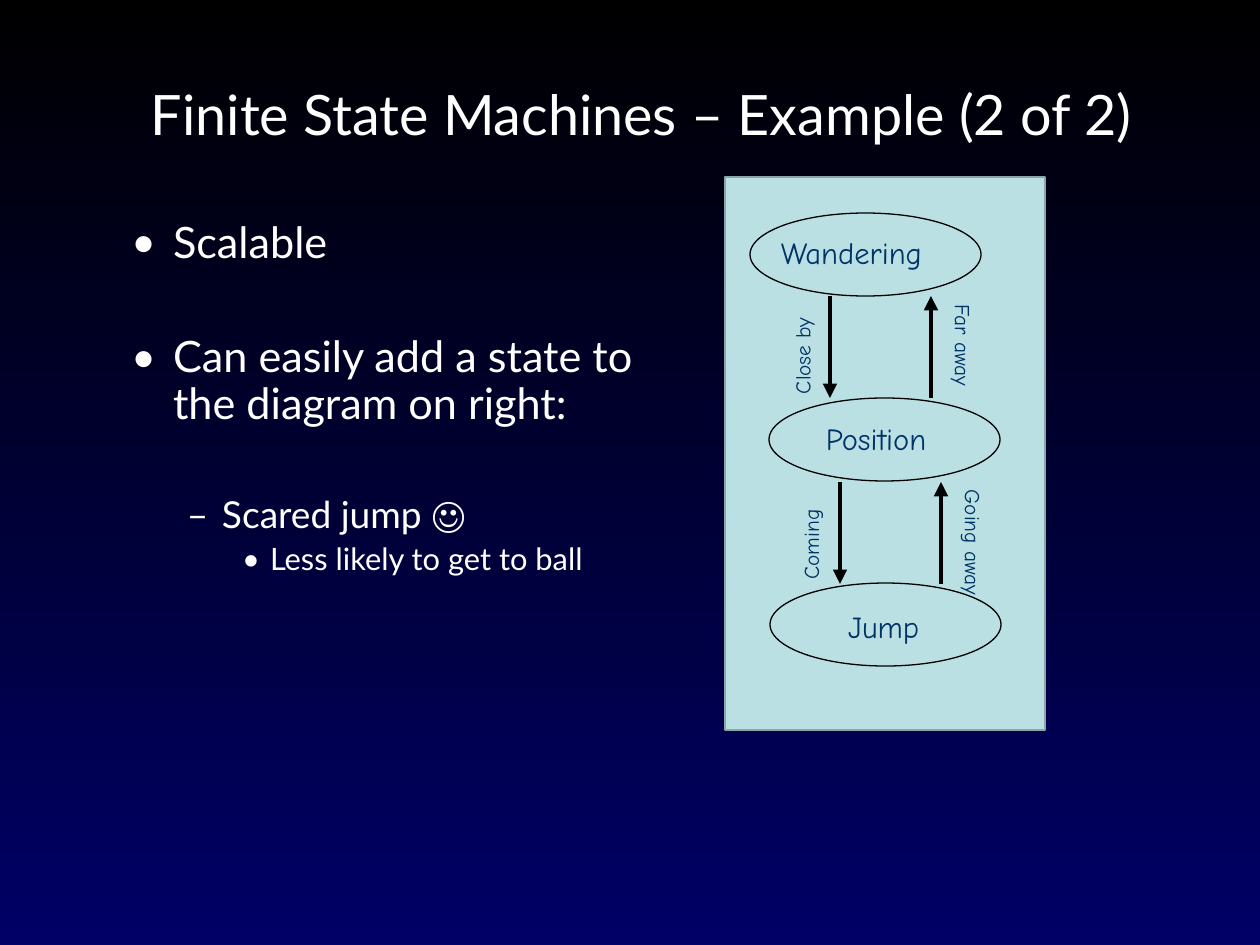
from dataclasses import dataclass

from lxml.etree import SubElement
from pptx import Presentation
from pptx.dml.color import RGBColor
from pptx.enum.shapes import MSO_CONNECTOR, MSO_SHAPE
from pptx.oxml.ns import qn
from pptx.util import Emu, Pt

WHITE, BLACK, NAVY = "FFFFFF", "000000", "003366"
SANS, HAND = "Lato", "Comic Neue"


@dataclass
class Label:
    text: str
    x: int
    y: int
    w: int
    h: int
    size: float
    lead: float
    font: str = HAND
    color: str = NAVY
    turn: int = 0


@dataclass
class Item:
    text: str
    mark: str
    left: int
    hang: int
    size: float
    lead: float
    gap: float


@dataclass
class Arrow:
    x: int
    start: int
    end: int


def px(n: int) -> Emu:
    return Emu(round(n * 914400 / 126))


def rgb(code: str) -> RGBColor:
    return RGBColor.from_string(code)


def style(para, size: float, lead: float, font: str, color: str) -> None:
    para.line_spacing = Pt(lead)
    for run in para.runs:
        run.font.size = Pt(size)
        run.font.name = font
        run.font.color.rgb = rgb(color)


def add_box(slide, x: int, y: int, w: int, h: int):
    box = slide.shapes.add_textbox(px(x), px(y), px(w), px(h))
    frame = box.text_frame
    frame.margin_left = frame.margin_right = 0
    frame.margin_top = frame.margin_bottom = 0
    return box


def add_label(slide, label: Label) -> None:
    box = add_box(slide, label.x, label.y, label.w, label.h)
    box.rotation = label.turn
    box.text_frame.text = label.text
    style(box.text_frame.paragraphs[0], label.size, label.lead, label.font, label.color)


def add_list(slide, items: list[Item]) -> None:
    frame = add_box(slide, 131, 221, 545, 360).text_frame
    frame.word_wrap = True
    for i, item in enumerate(items):
        para = frame.add_paragraph() if i else frame.paragraphs[0]
        para.text = item.text
        props = para._p.get_or_add_pPr()
        props.set("marL", str(px(item.left)))
        props.set("indent", str(-px(item.hang)))
        SubElement(props, qn("a:buFont")).set("typeface", SANS)
        SubElement(props, qn("a:buChar")).set("char", item.mark)
        style(para, item.size, item.lead, SANS, WHITE)
        if i:
            para.space_before = Pt(item.gap)


def add_shape(slide, kind: MSO_SHAPE, x: int, y: int, w: int, h: int,
              line: str, width: float, fill: str = "") -> None:
    shape = slide.shapes.add_shape(kind, px(x), px(y), px(w), px(h))
    shape.shadow.inherit = False
    if fill:
        shape.fill.solid()
        shape.fill.fore_color.rgb = rgb(fill)
    else:
        shape.fill.background()
    shape.line.color.rgb = rgb(line)
    shape.line.width = Pt(width)


def add_arrow(slide, arrow: Arrow) -> None:
    link = slide.shapes.add_connector(
        MSO_CONNECTOR.STRAIGHT, px(arrow.x), px(arrow.start), px(arrow.x), px(arrow.end))
    link.line.color.rgb = rgb(BLACK)
    link.line.width = Pt(2.75)
    SubElement(link.line._get_or_add_ln(), qn("a:tailEnd")).set("type", "triangle")
    SubElement(link._element.spPr, qn("a:effectLst"))


TITLE = Label("Finite State Machines – Example (2 of 2)",
              151, 88, 1020, 59, 31.8, 33.5, SANS, WHITE)

ITEMS = [
    Item("Scalable", "•", 42, 42, 24.7, 26.4, 0),
    Item("Can easily add a state to the diagram on right:", "•", 42, 42, 24.7, 26.4, 39),
    Item("Scared jump ☺", "–", 91, 35, 21.2, 22.8, 39),
    Item("Less likely to get to ball", "•", 139, 28, 17.6, 19.2, 4.2),
]

STATES = [(750, 213), (769, 398), (770, 583)]

ARROWS = [
    Arrow(830, 296, 398), Arrow(931, 398, 296),
    Arrow(840, 482, 584), Arrow(941, 584, 482),
]

LABELS = [
    Label("Wandering", 781, 236, 163, 34, 17.5, 19.5),
    Label("Position", 826, 422, 120, 34, 17.5, 19.5),
    Label("Jump", 848, 610, 84, 34, 17.5, 19.5),
    Label("Going away", 915, 535, 116, 25, 12.2, 14.2, turn=90),
    Label("Far away", 915, 340, 96, 25, 12.2, 14.2, turn=90),
    Label("Close by", 757, 336, 91, 25, 12.2, 14.2, turn=270),
    Label("Coming", 772, 528, 78, 25, 12.2, 14.2, turn=270),
]


def main() -> None:
    deck = Presentation()
    deck.slide_width, deck.slide_height = px(1260), px(945)
    slide = deck.slides.add_slide(deck.slide_layouts[6])

    # Background
    fill = slide.background.fill
    fill.gradient()
    fill.gradient_angle = 270
    for stop, place, color in zip(fill.gradient_stops, (0, 1), (BLACK, "000066")):
        stop.position = place
        stop.color.rgb = rgb(color)

    # Title and bullets
    add_label(slide, TITLE)
    add_list(slide, ITEMS)

    # State diagram
    add_shape(slide, MSO_SHAPE.RECTANGLE, 725, 177, 320, 553, "8AA6A8", 1, "BBE0E3")
    for x, y in STATES:
        add_shape(slide, MSO_SHAPE.OVAL, x, y, 231, 83, BLACK, 0.75)
    for arrow in ARROWS:
        add_arrow(slide, arrow)
    for label in LABELS:
        add_label(slide, label)

    deck.save("out.pptx")


if __name__ == "__main__":
    main()
